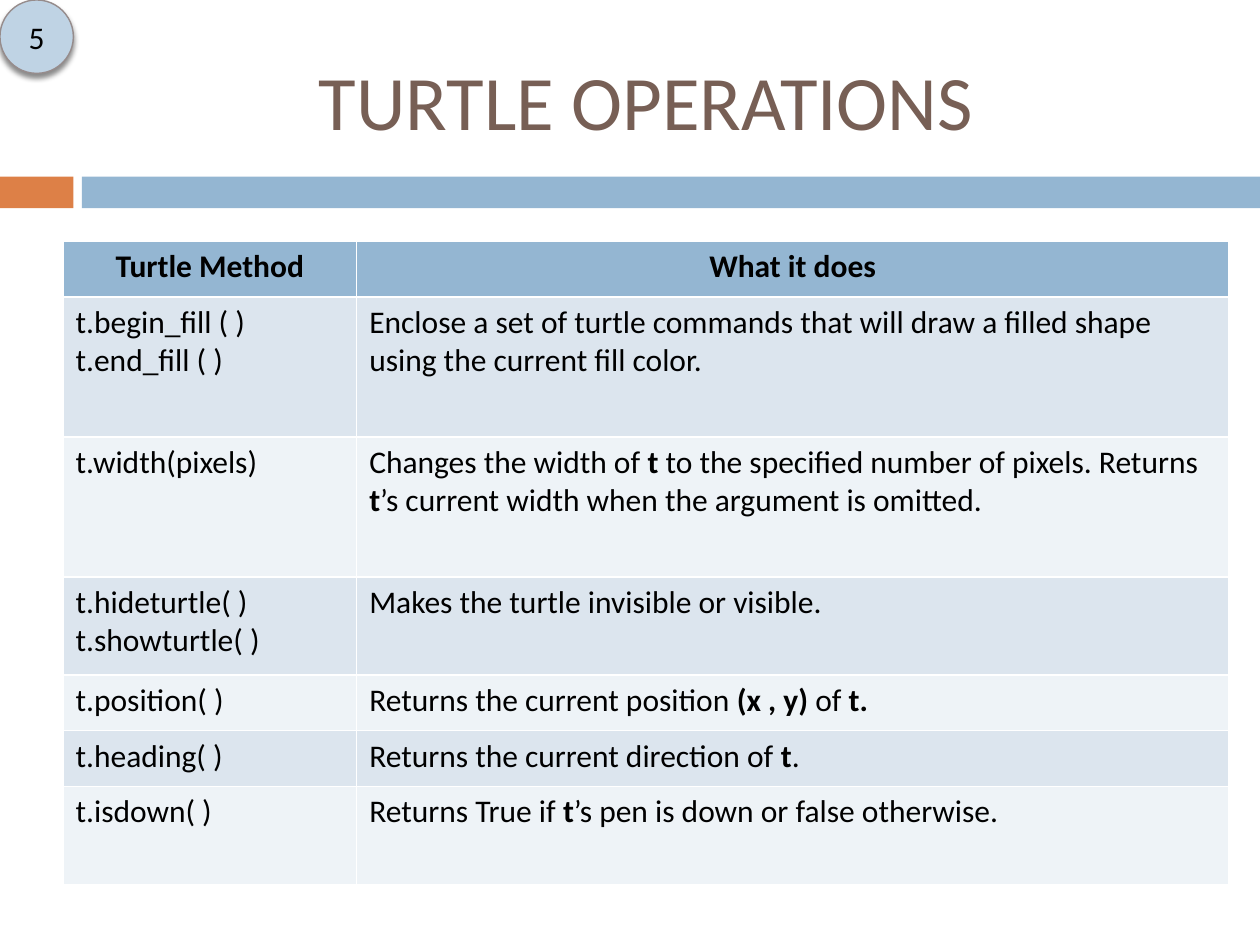
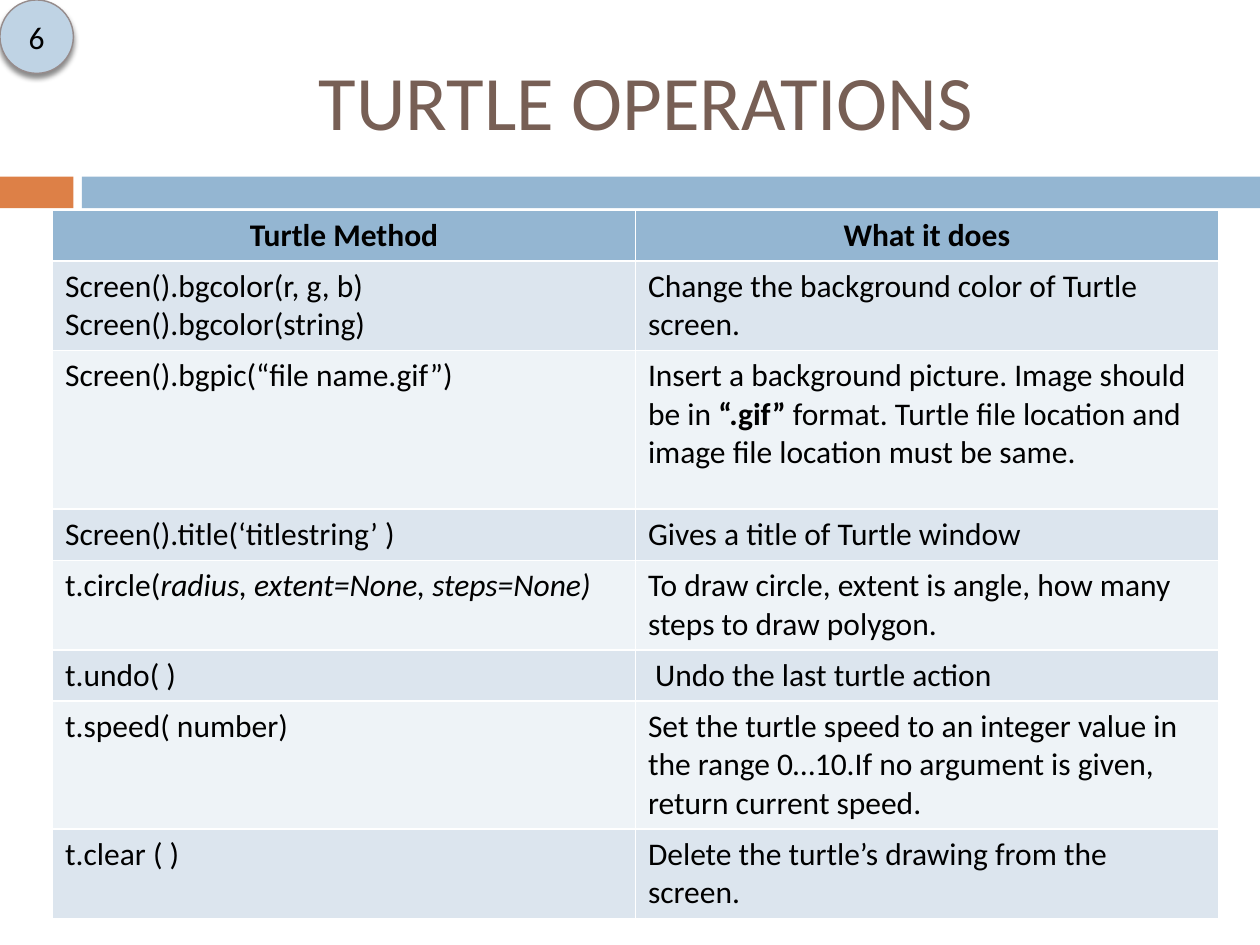
"""Build two slides of turtle operations, each a titled reference table."""
import pptx
import pptx.dml.color
import pptx.enum.shapes
import pptx.enum.text
import pptx.oxml
import pptx.oxml.ns
import pptx.util

Cm = pptx.util.Cm
Pt = pptx.util.Pt
SHAPES = pptx.enum.shapes.MSO_SHAPE
CENTER = pptx.enum.text.PP_ALIGN.CENTER
MIDDLE = pptx.enum.text.MSO_ANCHOR.MIDDLE

FONT = "Calibri"
COLOURS = {
    "orange": "DD8047",
    "blue": "94B6D2",
    "title": "775F55",
    "text": "000000",
    "dark_row": "DCE5EE",
    "light_row": "EEF3F7",
    "badge": "BFD3E4",
    "badge_line": "968C8C",
}
SHADOW = (
    '<a:effectLst %s><a:outerShdw blurRad="38100" dist="30000" dir="5400000" rotWithShape="0">'
    '<a:srgbClr val="000000"><a:alpha val="45000"/></a:srgbClr></a:outerShdw></a:effectLst>'
    % pptx.oxml.ns.nsdecls("a")
)
HEADER = ("Turtle Method", "What it does")

TURTLE_ROWS = [
    ("t.begin_fill ( )\nt.end_fill ( )",
     "Enclose a set of turtle commands that will draw a filled shape using the current fill color."),
    ("t.width(pixels)",
     "Changes the width of *t* to the specified number of pixels. Returns "
     "*t*’s current width when the argument is omitted."),
    ("t.hideturtle( )\nt.showturtle( )", "Makes the turtle invisible or visible."),
    ("t.position( )", "Returns the current position *(x , y) *of *t.*"),
    ("t.heading( )", "Returns the current direction of *t*."),
    ("t.isdown( )", "Returns True if *t*’s pen is down or false otherwise."),
]
SCREEN_ROWS = [
    ("Screen().bgcolor(r, g, b)\nScreen().bgcolor(string)",
     "Change the background color of Turtle screen."),
    ("Screen().bgpic(“file name.gif”)",
     "Insert a background picture. Image should be in *“.gif” *format. "
     "Turtle file location and image file location must be same."),
    ("Screen().title(‘titlestring’ )", "Gives a title of Turtle window"),
    ("t.circle(~radius, extent=None, steps=None)~",
     "To draw circle, extent is angle, how many steps to draw polygon. "),
    ("t.undo( )", " Undo the last turtle action"),
    ("t.speed( number)",
     "Set the turtle speed to an integer value in the range 0…10.If no argument is given, "
     "return current speed."),
    ("t.clear ( ) ", "Delete the turtle’s drawing from the screen."),
]
SLIDES = [
    {"number": 5, "rows": TURTLE_ROWS, "box": (1.27, 4.87), "columns": (5.92, 17.58),
     "heights": (1.12, 2.82, 2.82, 1.98, 1.12, 1.12, 1.98)},
    {"number": 6, "rows": SCREEN_ROWS, "box": (1.06, 4.23), "columns": (11.75, 11.75),
     "heights": (1, 1.73, 3.2, 1, 1.73, 1, 2.46, 1.73)},
]


def colour(name):
    """Return the named colour."""
    return pptx.dml.color.RGBColor.from_string(COLOURS[name])


def add_run(paragraph, text, size=18, bold=False, italic=False, ink="text"):
    """Add one formatted run to a paragraph."""
    run = paragraph.add_run()
    run.text = text
    run.font.name = FONT
    run.font.size = Pt(size)
    run.font.bold = bold
    run.font.italic = italic
    run.font.color.rgb = colour(ink)


def add_marked_text(text_frame, text, bold=False, alignment=None):
    """Write lines as paragraphs, with *bold* and ~italic~ parts as runs."""
    for index, line in enumerate(text.split("\n")):
        paragraph = text_frame.add_paragraph() if index else text_frame.paragraphs[0]
        paragraph.alignment = alignment
        for bold_index, part in enumerate(line.split("*")):
            for italic_index, piece in enumerate(part.split("~")):
                if piece:
                    add_run(paragraph, piece, bold=bold or bold_index % 2 == 1,
                            italic=italic_index % 2 == 1)


def add_filled_shape(slide, kind, box, fill):
    """Add a flat shape without an outline in the given box in centimetres."""
    shape = slide.shapes.add_shape(kind, *map(Cm, box))
    shape.shadow.inherit = False
    shape.fill.solid()
    shape.fill.fore_color.rgb = colour(fill)
    shape.line.fill.background()
    return shape


def move_bands_to_layout(slide, top, height):
    """Place the orange and blue bands on the layout that the slides share."""
    for left, width, fill in ((0, 1.48, "orange"), (1.65, 23.75, "blue")):
        band = add_filled_shape(slide, SHAPES.RECTANGLE, (left, top, width, height), fill)
        slide.slide_layout.shapes.element.append(band.element)


def set_title(slide, text, box):
    """Fill and place the title placeholder."""
    title = slide.shapes.title
    title.left, title.top, title.width, title.height = map(Cm, box)
    title.text_frame.vertical_anchor = MIDDLE
    paragraph = title.text_frame.paragraphs[0]
    paragraph.alignment = CENTER
    add_run(paragraph, text, size=44, ink="title")


def add_method_table(slide, rows, box, columns, heights):
    """Add a table of methods with a header and alternating row fills."""
    left, top = box
    table = slide.shapes.add_table(len(rows) + 1, len(columns), Cm(left), Cm(top),
                                   Cm(sum(columns)), Cm(sum(heights))).table
    for column, width in zip(table.columns, columns):
        column.width = Cm(width)
    for index, (texts, height) in enumerate(zip([HEADER] + rows, heights)):
        table.rows[index].height = Cm(height)
        is_header = index == 0
        fill = "blue" if is_header else ("light_row", "dark_row")[index % 2]
        for cell, text in zip(table.rows[index].cells, texts):
            cell.fill.solid()
            cell.fill.fore_color.rgb = colour(fill)
            add_marked_text(cell.text_frame, text, bold=is_header,
                            alignment=CENTER if is_header else None)


def add_number_badge(slide, number, box):
    """Add the round slide number with a soft shadow below it."""
    badge = add_filled_shape(slide, SHAPES.OVAL, box, "badge")
    badge.line.color.rgb = colour("badge_line")
    badge.line.width = Pt(0.79)
    properties = badge.element.spPr
    properties.remove(properties.find(pptx.oxml.ns.qn("a:effectLst")))
    properties.append(pptx.oxml.parse_xml(SHADOW))
    text_frame = badge.text_frame
    text_frame.margin_left = text_frame.margin_right = 0
    text_frame.margin_top = text_frame.margin_bottom = 0
    text_frame.vertical_anchor = MIDDLE
    add_marked_text(text_frame, str(number), alignment=CENTER)


def main():
    """Build and save the presentation."""
    presentation = pptx.Presentation()
    presentation.slide_width = Cm(25.4)
    presentation.slide_height = Cm(19.05)
    layout = presentation.slide_layouts.get_by_name("Title Only")
    for content in SLIDES:
        slide = presentation.slides.add_slide(layout)
        if len(presentation.slides) == 1:
            move_bands_to_layout(slide, 3.56, 0.64)
        set_title(slide, "TURTLE OPERATIONS", (1.7, 0.64, 22.66, 2.74))
        add_method_table(slide, content["rows"], content["box"], content["columns"],
                         content["heights"])
        add_number_badge(slide, content["number"], (0, 0, 1.48, 1.48))
    presentation.save("out.pptx")


main()
